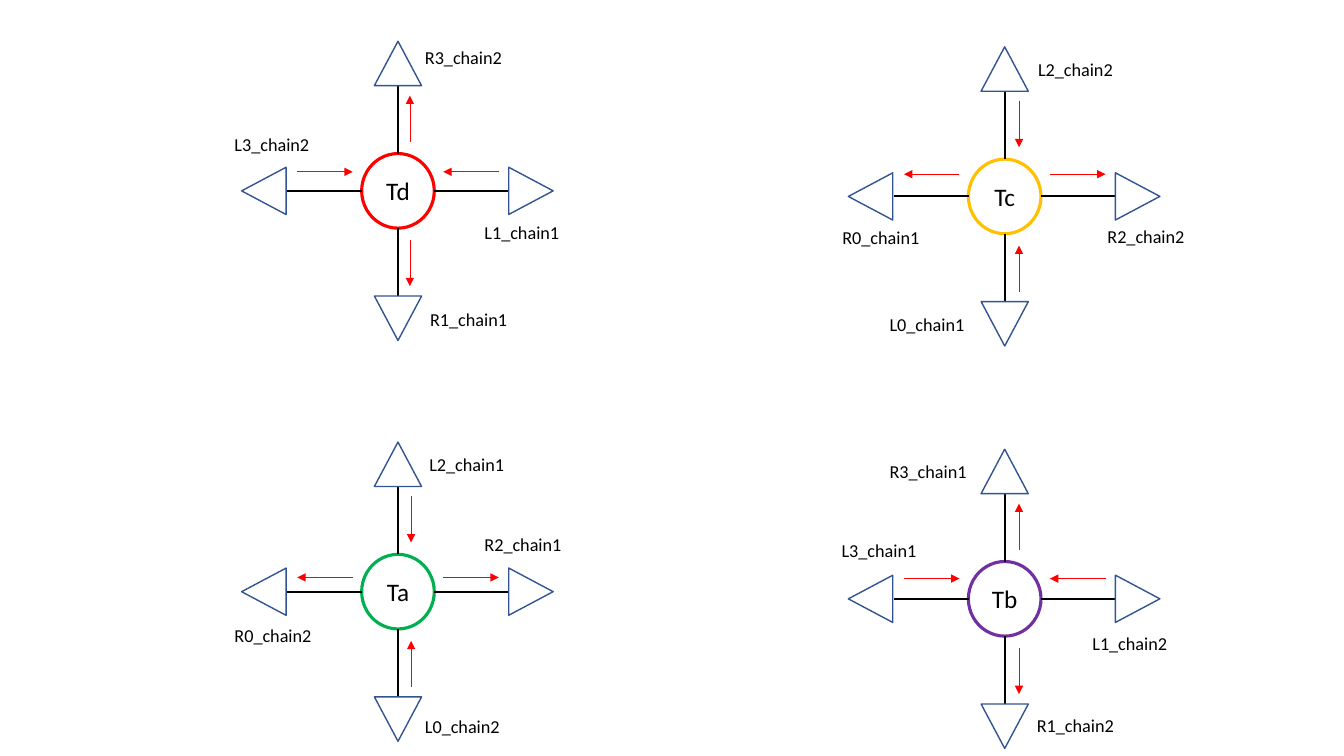
from collections import namedtuple

from lxml.etree import SubElement
from pptx import Presentation
from pptx.dml.color import RGBColor
from pptx.enum.shapes import MSO_CONNECTOR as Connector, MSO_SHAPE as Shape
from pptx.enum.text import MSO_ANCHOR as Anchor, MSO_AUTO_SIZE as AutoSize, PP_ALIGN as Align
from pptx.oxml.ns import qn
from pptx.util import Cm, Pt

BLACK = RGBColor(0x00, 0x00, 0x00)
RED = RGBColor(0xFF, 0x00, 0x00)
AMBER = RGBColor(0xFF, 0xC0, 0x00)
GREEN = RGBColor(0x00, 0xB0, 0x50)
PURPLE = RGBColor(0x70, 0x30, 0xA0)
BLUE = RGBColor(0x32, 0x54, 0x91)

# All lengths are centimetres.
NODE_WIDTH, NODE_HEIGHT = 1.83, 1.88
TRIANGLE_WIDTH, TRIANGLE_HEIGHT = 1.19, 1.12
LABEL_WIDTH, LABEL_HEIGHT = 2.51, 0.81

# Direction, rotation, and distances from the node's centre.
Arm = namedtuple("Arm", "dx dy rotation spoke triangle arrow")
ARMS = {
    "up": Arm(0, -1, 0, (0.94, 2.65), 3.21, (1.24, 2.4)),
    "right": Arm(1, 0, 90, (0.91, 2.8), 3.35, (1.14, 2.54)),
    "down": Arm(0, 1, 180, (0.94, 2.65), 3.21, (1.24, 2.4)),
    "left": Arm(-1, 0, 270, (0.91, 2.8), 3.38, (1.14, 2.54)),
}

# The lane is the shift of the red arrows to the right of and above the spokes.
# Each label has its arm, its left and its top.
Node = namedtuple("Node", "name color center lane labels")
NODES = [
    Node("Tc", AMBER, (25.32, 4.95), (0.36, 0.56), {
        "L2_chain2": ("up", 25.91, 1.35), "R2_chain2": ("right", 27.66, 5.56),
        "L0_chain1": ("down", 22.17, 7.77), "R0_chain1": ("left", 20.98, 5.59)}),
    Node("Td", RED, (10.03, 4.81), (0.3, 0.48), {
        "R3_chain2": ("up", 10.46, 1.04), "L1_chain1": ("right", 11.96, 5.46),
        "R1_chain1": ("down", 10.59, 7.65), "L3_chain2": ("left", 5.66, 3.23)}),
    Node("Ta", GREEN, (10.03, 14.91), (0.33, 0.36), {
        "L2_chain1": ("up", 10.57, 11.3), "R2_chain1": ("right", 11.96, 13.31),
        "L0_chain2": ("down", 10.46, 17.91), "R0_chain2": ("left", 5.66, 15.6)}),
    Node("Tb", PURPLE, (25.32, 15.09), (0.36, 0.51), {
        "R3_chain1": ("up", 22.17, 11.48), "L1_chain2": ("right", 27.28, 15.82),
        "R1_chain2": ("down", 25.88, 17.88), "L3_chain1": ("left", 20.96, 13.46)}),
]


def write_text(shape, text, size, align=Align.LEFT, anchor=Anchor.TOP, color=BLACK):
    """Put one formatted line of text in a shape."""
    frame = shape.text_frame
    frame.word_wrap = True
    frame.vertical_anchor = anchor
    paragraph = frame.paragraphs[0]
    paragraph.alignment = align
    run = paragraph.add_run()
    run.text = text
    run.font.name = "Calibri"
    run.font.size = Pt(size)
    run.font.color.rgb = color


def add_outline(slide, kind, center, width, height, color, weight):
    """Add an unfilled preset shape around a centre."""
    x, y = center
    shape = slide.shapes.add_shape(
        kind, Cm(x - width / 2), Cm(y - height / 2), Cm(width), Cm(height))
    shape.shadow.inherit = False
    shape.fill.background()
    shape.line.color.rgb = color
    shape.line.width = Pt(weight)
    return shape


def add_line(slide, start, end, color, weight, arrow=False):
    """Add a straight line, with an arrowhead at its end if asked."""
    line = slide.shapes.add_connector(
        Connector.STRAIGHT, *(Cm(value) for value in (*start, *end)))
    line.line.color.rgb = color
    line.line.width = Pt(weight)
    if arrow:
        SubElement(line.line._get_or_add_ln(), qn("a:tailEnd"), type="triangle")
    SubElement(line._element.spPr, qn("a:effectLst"))


def add_label(slide, text, left, top):
    """Add the name of a link."""
    box = slide.shapes.add_textbox(Cm(left), Cm(top), Cm(LABEL_WIDTH), Cm(LABEL_HEIGHT))
    write_text(box, text, size=13)
    box.text_frame.auto_size = AutoSize.SHAPE_TO_FIT_TEXT


def add_arm(slide, node, arm, outward):
    """Add a spoke, its triangle and its red flow arrow."""
    x, y = node.center

    def along(distance):
        """Return the point at a distance along the arm."""
        return x + arm.dx * distance, y + arm.dy * distance

    add_line(slide, *map(along, arm.spoke), BLACK, 1.5)
    triangle = add_outline(slide, Shape.ISOSCELES_TRIANGLE, along(arm.triangle),
                           TRIANGLE_WIDTH, TRIANGLE_HEIGHT, BLUE, 1)
    triangle.rotation = arm.rotation
    shift_x, shift_y = node.lane
    ends = [(px + shift_x * abs(arm.dy), py - shift_y * abs(arm.dx))
            for px, py in map(along, arm.arrow)]
    add_line(slide, *(ends if outward else reversed(ends)), RED, 0.5, arrow=True)


def add_node(slide, node):
    """Add a node's circle with its four arms and labels."""
    circle = add_outline(slide, Shape.OVAL, node.center,
                         NODE_WIDTH, NODE_HEIGHT, node.color, 2.25)
    write_text(circle, node.name, size=18, align=Align.CENTER, anchor=Anchor.MIDDLE)
    for label, (direction, left, top) in node.labels.items():
        add_arm(slide, node, ARMS[direction], outward=label.startswith("R"))
        add_label(slide, label, left, top)


def main():
    """Build the slide and save it."""
    presentation = Presentation()
    presentation.slide_width = Cm(33.87)
    presentation.slide_height = Cm(19.05)
    slide = presentation.slides.add_slide(presentation.slide_layouts[6])
    for node in NODES:
        add_node(slide, node)
    presentation.save("out.pptx")


main()
